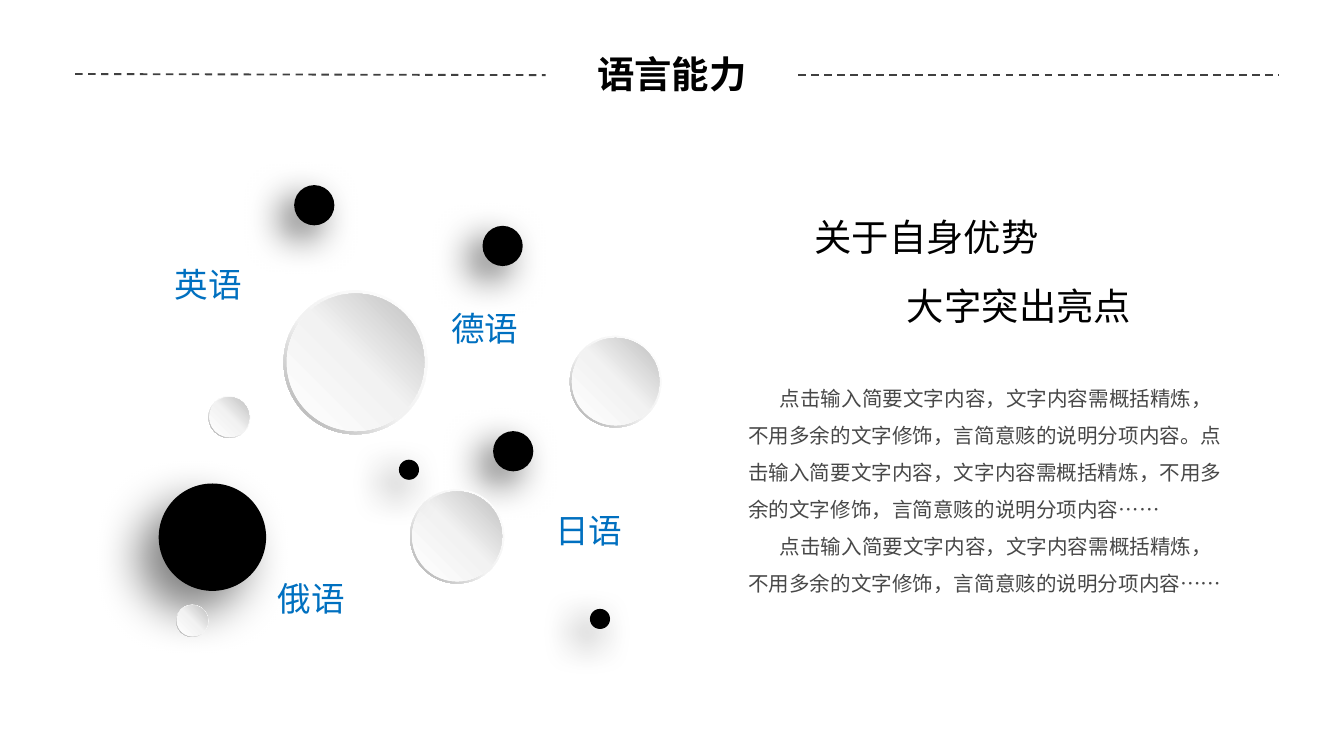
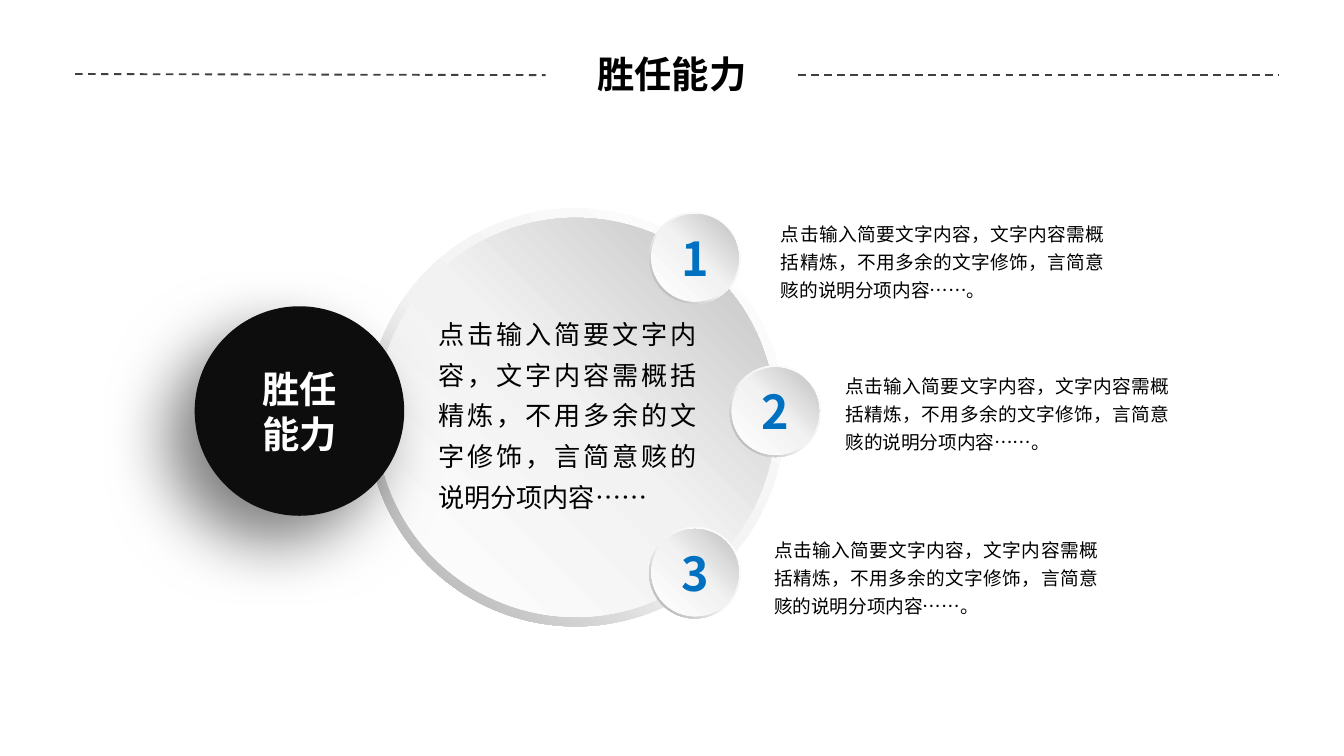
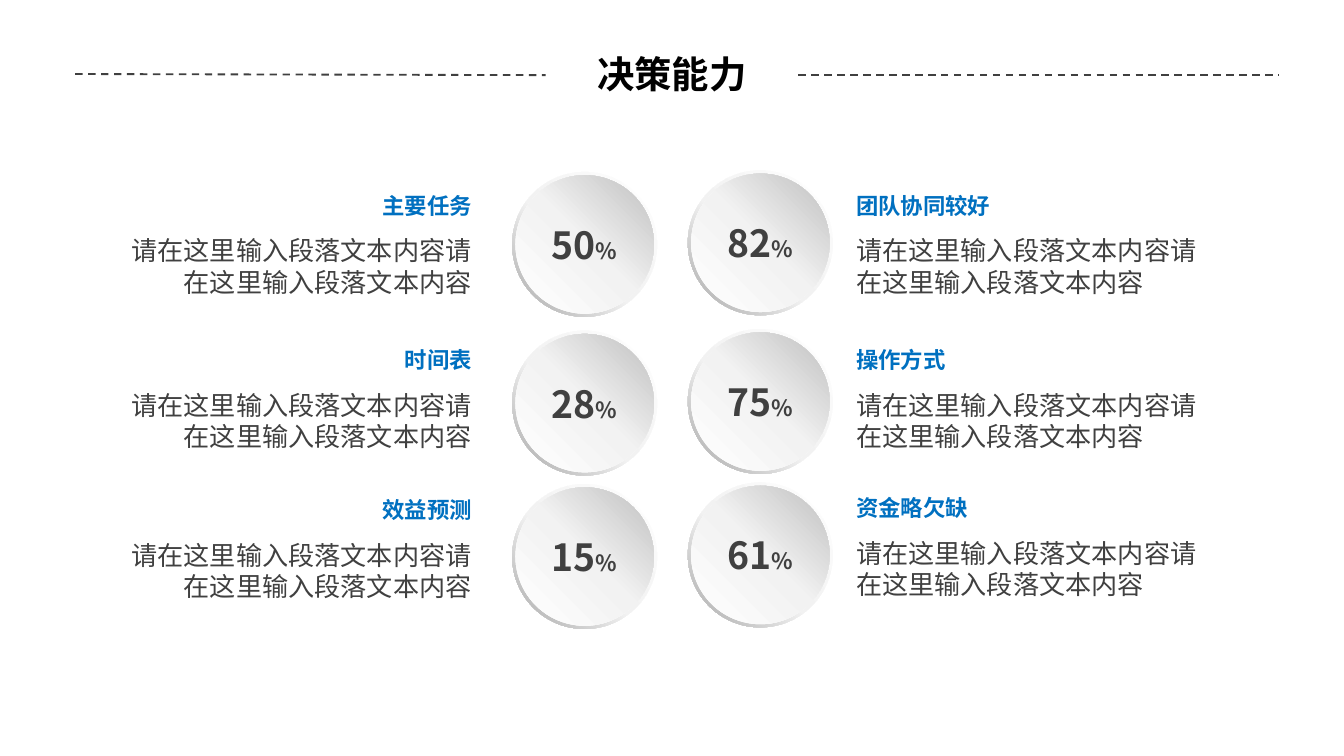
from lxml import etree
from pptx import Presentation
from pptx.dml.color import RGBColor
from pptx.enum.dml import MSO_LINE
from pptx.enum.shapes import MSO_CONNECTOR, MSO_SHAPE
from pptx.enum.text import MSO_ANCHOR, MSO_AUTO_SIZE, PP_ALIGN
from pptx.oxml import parse_xml
from pptx.oxml.ns import nsdecls, qn
from pptx.util import Cm, Pt

OVAL, RING = MSO_SHAPE.OVAL, MSO_SHAPE.DONUT
LEFT, MID, RIGHT, JUST = (PP_ALIGN.LEFT, PP_ALIGN.CENTER,
                          PP_ALIGN.RIGHT, PP_ALIGN.JUSTIFY)
MIDDLE = MSO_ANCHOR.MIDDLE
GROW, FIXED = MSO_AUTO_SIZE.SHAPE_TO_FIT_TEXT, MSO_AUTO_SIZE.NONE
STRAIGHT, DASH = MSO_CONNECTOR.STRAIGHT, MSO_LINE.DASH

FONT, PLAIN = "Noto Sans CJK SC", "Arial"
BLACK, INK, GRAY, SLATE = "000000", "0D0D0D", "404040", "484848"
BLUE, WHITE = "0070C0", "FFFFFF"
RIM = ((0, "FFFFFF"), (55, "F2F2F2"), (100, "A6A6A6"))
FACE = ((0, "FFFFFF"), (51, "F2F2F2"), (100, "BFBFBF"))
INSET = 0.0225  # gap between rim and face, as a share of the diameter


def color(code):
    return RGBColor.from_string(code)


# Text
def style(para, size, code, bold=False, align=LEFT, name=FONT, space=None):
    para.alignment = align
    para.line_spacing = space
    font = para.font
    font.size, font.bold, font.name = Pt(size), bold, name
    font.color.rgb = color(code)
    etree.SubElement(font._rPr, qn("a:ea"), typeface=FONT)


def write(frame, lines, *args, **look):
    for i, line in enumerate(lines):
        para = frame.add_paragraph() if i else frame.paragraphs[0]
        para.text = line
        style(para, *args, **look)


def pad(frame, side, edge):
    frame.margin_left = frame.margin_right = Cm(side)
    frame.margin_top = frame.margin_bottom = Cm(edge)


def label(slide, box, lines, *args, wrap=True, gaps=(0.25, 0.13), **look):
    frame = slide.shapes.add_textbox(*map(Cm, box)).text_frame
    frame.word_wrap, frame.auto_size = wrap, GROW
    pad(frame, *gaps)
    write(frame, lines, *args, **look)
    return frame


# Circles
def round_shape(shapes, kind, x, y, size):
    shape = shapes.add_shape(kind, Cm(x), Cm(y), Cm(size), Cm(size))
    shape.shadow.inherit = False
    shape.line.fill.background()
    return shape


def blend(shape, stops, angle):
    marks = "".join(f'<a:gs pos="{at * 1000}"><a:srgbClr val="{code}"/></a:gs>'
                    for at, code in stops)
    fill = parse_xml(f'<a:gradFill {nsdecls("a")} rotWithShape="1"><a:gsLst>{marks}'
                     f'</a:gsLst><a:lin ang="{angle * 60000}" scaled="0"/></a:gradFill>')
    shape.element.spPr.find(qn("a:prstGeom")).addnext(fill)


def disc(slide, x, y, size):
    """Raised disc; returns the text frame of its face."""
    shapes = slide.shapes.add_group_shape().shapes
    rim = round_shape(shapes, RING, x, y, size)
    rim.adjustments[0] = 0.049
    blend(rim, RIM, 135)
    gap = size * INSET
    face = round_shape(shapes, OVAL, x + gap, y + gap, size - 2 * gap)
    blend(face, FACE, 315)
    frame = face.text_frame
    frame.vertical_anchor, frame.word_wrap = MIDDLE, False
    pad(frame, 0, 0)
    return frame


def dot(slide, x, y, size, shade=(60, 20, 10), code=BLACK):
    """Dark dot; shade is opacity, blur and distance."""
    ball = round_shape(slide.shapes, OVAL, x, y, size)
    ball.fill.solid()
    ball.fill.fore_color.rgb = color(code)
    alpha, blur, far = shade
    cast = parse_xml(
        f'<a:outerShdw {nsdecls("a")} blurRad="{Pt(blur)}" dist="{Pt(far)}" '
        f'dir="{135 * 60000}" algn="tr" rotWithShape="0"><a:srgbClr val="{BLACK}">'
        f'<a:alpha val="{alpha * 1000}"/></a:srgbClr></a:outerShdw>')
    ball.element.spPr.find(qn("a:effectLst")).append(cast)


# Shared head
def add_rules(slide, layout):
    """Draw the dashed rules and move them to the layout."""
    for ends in ((1.42, 1.4, 10.31, 1.42), (15.09, 1.42, 24.18, 1.42)):
        rule = slide.shapes.add_connector(STRAIGHT, *map(Cm, ends))
        rule.line.color.rgb = color(GRAY)
        rule.line.width, rule.line.dash_style = Pt(1), DASH
        etree.SubElement(rule.element.spPr, qn("a:effectLst"))
        layout.shapes.element.append(rule.element)


def add_page(deck, layout, title):
    slide = deck.slides.add_slide(layout)
    head = slide.shapes.title
    head.left, head.top, head.width, head.height = map(Cm, (1.27, 1.04, 22.86, 0.71))
    frame = head.text_frame
    frame.vertical_anchor, frame.auto_size = MIDDLE, FIXED
    write(frame, [title], 20, BLACK, True, MID)
    return slide


# Languages
def draw_cloud(slide, x, y):
    names = (("英语", 0.05, 1.35), ("俄语", 2, 7.3),
             ("德语", 5.28, 2.19), ("日语", 7.24, 6))
    for name, dx, dy in names:
        label(slide, (x + dx, y + dy, 1.8, 1.02), [name], 18, BLUE, wrap=False)
    disc(slide, x + 2.36, y + 1.99, 2.72)
    dot(slide, x, y + 5.64, 2.03, (50, 25, 15))
    balls = ((dot, 6.32, 4.65, 0.76), (disc, 7.77, 2.85, 1.73),
             (disc, 0.33, 7.93, 0.61), (disc, 0.94, 3.99, 0.79),
             (dot, 6.12, 0.77, 0.76), (dot, 8.15, 8.01, 0.38),
             (disc, 4.75, 5.75, 1.78), (dot, 2.56, 0, 0.76),
             (dot, 4.54, 5.19, 0.38))
    for draw, dx, dy, size in balls:
        draw(slide, x + dx, y + dy, size)


def draw_pitch(slide, x, y):
    for line, dx, dy in (("关于自身优势", 1.25, 0), ("大字突出亮点", 3, 1.32)):
        label(slide, (x + dx, y + dy, 4.78, 1.12), [line], 20, BLACK, wrap=False)
    once = "点击输入简要文字内容，文字内容需概括精炼，不用多余的文字修饰，言简意赅的说明分项内容"
    frame = label(slide, (x, y + 3.02, 9.6, 5.18),
                  [f"{once}。{once}……", f"{once}……"], 11, SLATE, space=1.5)
    for para in frame.paragraphs:
        para._p.get_or_add_pPr().set("indent", str(Cm(0.6)))


# Competence
def draw_skill(slide, x, y):
    note = "点击输入简要文字内容，文字内容需概括精炼，不用多余的文字修饰，言简意赅的说明分项内容……"
    disc(slide, x + 3.25, y, 7.9)
    spots = (((8.59, 0.07), (11.08, 0.17)),
             ((10.11, 2.97), (12.3, 3.05)),
             ((8.59, 6.02), (10.95, 6.14)))
    for i, ((bx, by), (tx, ty)) in enumerate(spots, 1):
        write(disc(slide, x + bx, y + by, 1.73), [str(i)], 25, BLUE, True, MID)
        label(slide, (x + tx, y + ty, 6.12, 1.6), [note + "。"], 10, BLACK,
              align=JUST, space=Pt(15), gaps=(0, 0))
    label(slide, (x + 4.6, y + 1.9, 4.88, 3.81), [note], 14, BLACK,
          align=JUST, space=1.3, gaps=(0, 0))
    dot(slide, x, y + 1.85, 3.96, (50, 35, 20), INK)
    label(slide, (x + 1.27, y + 2.99, 1.42, 1.7), ["胜任", "能力"], 20, WHITE,
          True, MID, wrap=False, gaps=(0, 0))


# Decisions
def draw_rate(slide, x, y, value):
    frame = disc(slide, x, y, 2.74)
    write(frame, [value], 20, GRAY, True, MID)
    sign = frame.paragraphs[0].add_run()
    sign.text, sign.font.size = "%", Pt(12)


def draw_item(slide, x, y, name, align):
    """Heading and text; both end at the right edge if aligned right."""
    wide, narrow = 7.09, 4.17
    shift = wide - narrow if align == RIGHT else 0
    label(slide, (x + shift, y, narrow, 0.71), [name], 12, BLUE, True, align,
          gaps=(0.18, 0.1))
    label(slide, (x, y + 0.81, wide, 1.4), ["请在这里输入段落文本内容" * 2], 14, GRAY,
          align=align, name=PLAIN, gaps=(0.18, 0.1))


def draw_column(slide, disc_x, text_x, align, rows):
    for value, name, disc_y, text_y in rows:
        draw_rate(slide, disc_x, disc_y, value)
        draw_item(slide, text_x, text_y, name, align)


def main():
    deck = Presentation()
    deck.slide_width, deck.slide_height = Cm(25.4), Cm(14.29)
    layout = deck.slide_layouts[5]

    slide = add_page(deck, layout, "语言能力")
    add_rules(slide, layout)
    draw_cloud(slide, 3, 3.5)
    draw_pitch(slide, 13.89, 3.91)

    slide = add_page(deck, layout, "胜任能力")
    draw_skill(slide, 3.68, 3.94)

    slide = add_page(deck, layout, "决策能力")
    draw_column(slide, 9.68, 2.01, RIGHT, (
        ("50", "主要任务", 3.25, 3.53),
        ("28", "时间表", 6.25, 6.45),
        ("15", "效益预测", 9.15, 9.28)))
    draw_column(slide, 13, 16, LEFT, (
        ("82", "团队协同较好", 3.22, 3.53),
        ("75", "操作方式", 6.22, 6.45),
        ("61", "资金略欠缺", 9.12, 9.25)))

    deck.save("out.pptx")


if __name__ == "__main__":
    main()
